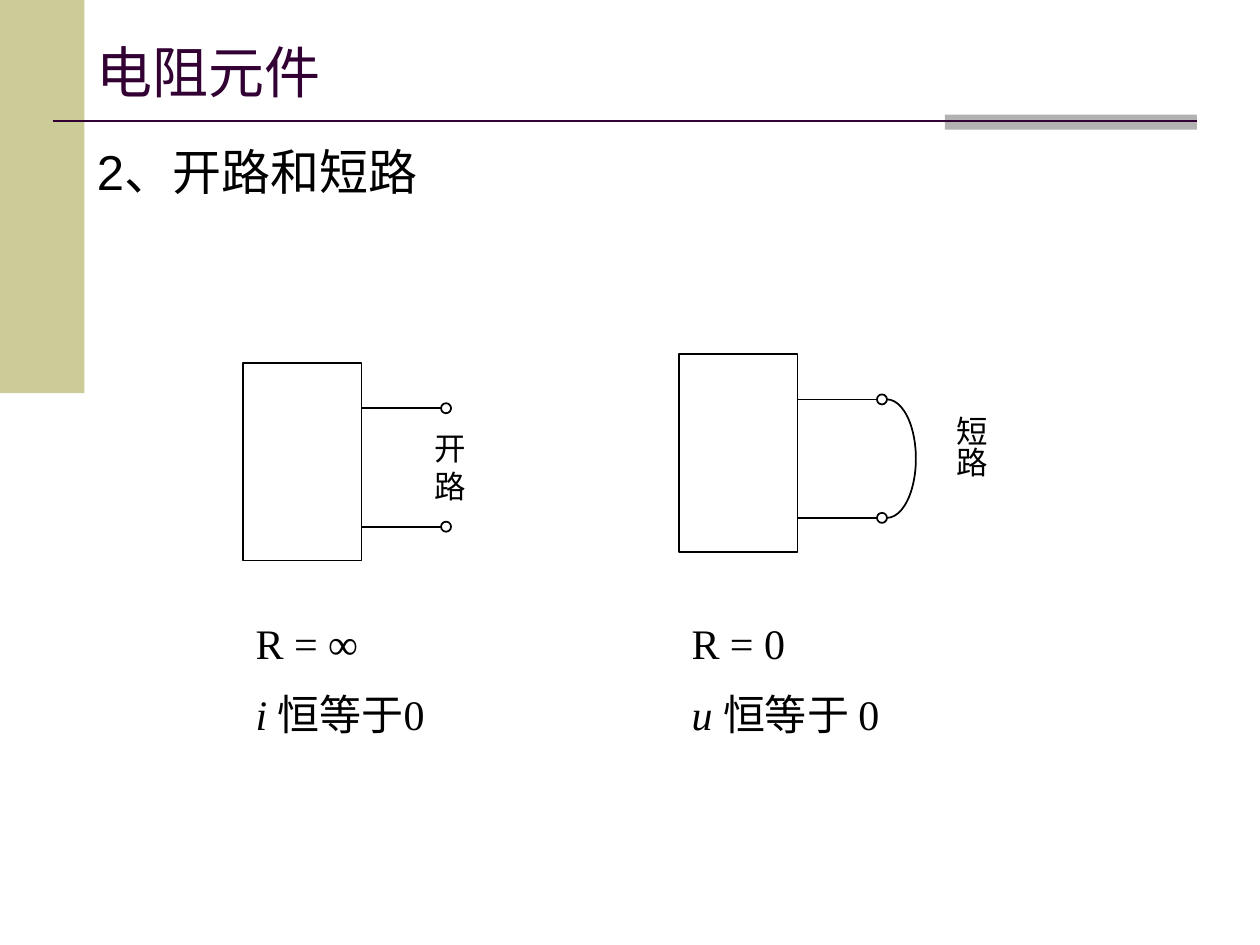
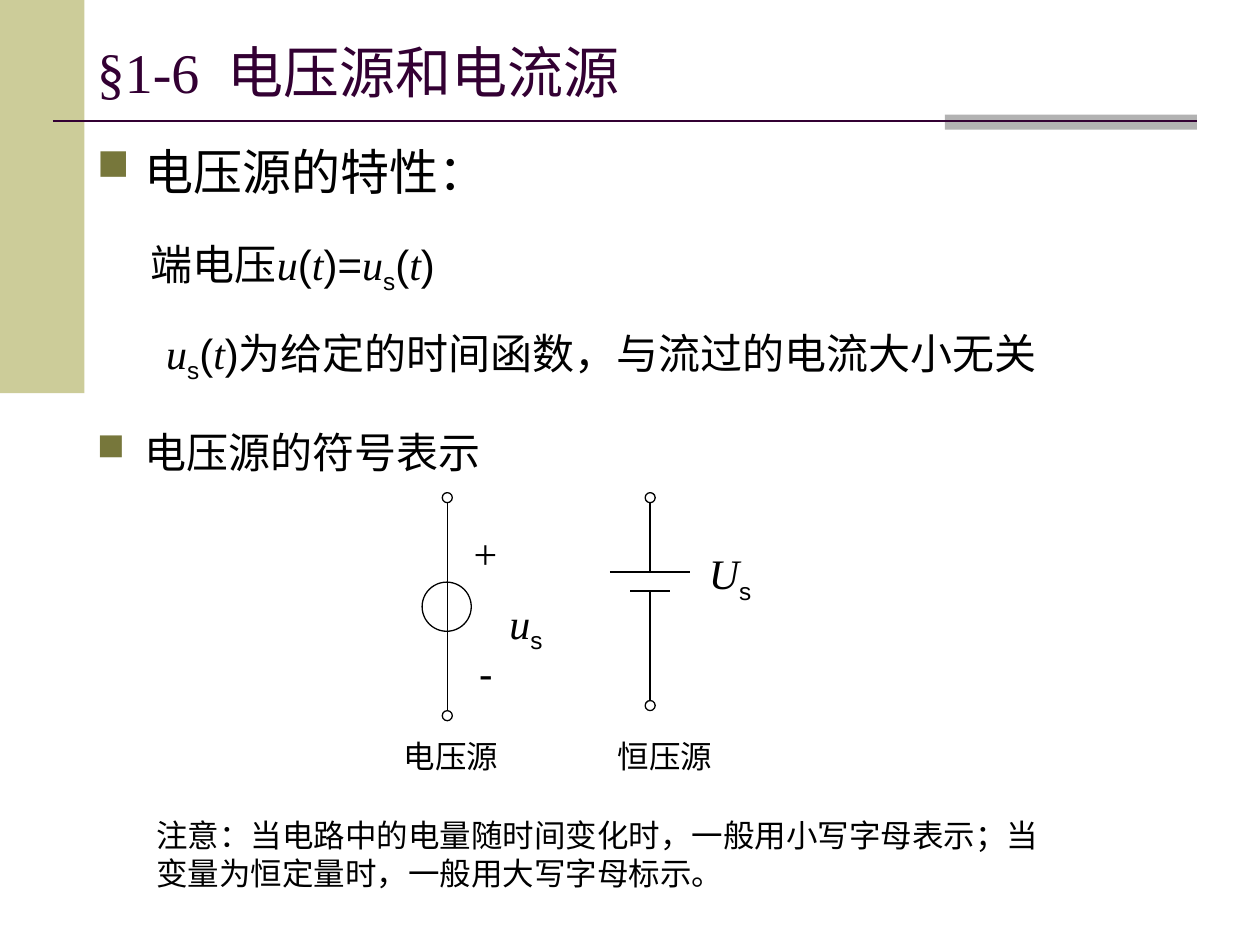
from pptx import Presentation
from pptx.dml.color import RGBColor
from pptx.enum.shapes import MSO_CONNECTOR, MSO_SHAPE
from pptx.enum.text import MSO_ANCHOR, PP_ALIGN
from pptx.oxml.ns import qn
from pptx.util import Inches, Pt
from lxml import etree

RECT, OVAL, ARC = MSO_SHAPE.RECTANGLE, MSO_SHAPE.OVAL, MSO_SHAPE.ARC
STRAIGHT = MSO_CONNECTOR.STRAIGHT
TOP, MIDDLE = MSO_ANCHOR.TOP, MSO_ANCHOR.MIDDLE
LEFT, CENTER = PP_ALIGN.LEFT, PP_ALIGN.CENTER

WIDTH, HEIGHT = 10, 7.5
COLORS = {"band": "CCCC99", "tab": "B2B2B2", "title": "330033",
          "bullet": "77773B", "ink": "000000"}
SANS, SERIF = "Arial", "Times New Roman"

# Span styles: plain text, serif text, variable, subscript, widened space
STYLES = {
    "plain": {"name": SANS},
    "serif": {"name": SERIF},
    "var": {"name": SERIF, "italic": True},
    "sub": {"name": SANS},
    "gap": {"name": SERIF},
}
# Run attributes that some styles add
RUN_ATTRIBUTES = {"sub": ("baseline", "-25000"), "gap": ("spc", "800")}

# ---- Content ----
TITLES = {
    "resistor": [("电阻元件", "serif")],
    "sources": [("§1-6", "serif"), (" ", "gap"), ("电压源和电流源", "serif")],
}
HANG = {"margin": 0.38, "indent": -0.38}
U_S = [("u", "var"), ("s", "sub")]
OF_T = [("(", "plain"), ("t", "var")]

RESISTOR_BODY = [{"spans": [("2、开路和短路", "plain")], "size": 28, **HANG}]
SOURCES_BODY = [
    {"spans": [("电压源的特性：", "plain")], "size": 28, "bullet": True, **HANG},
    {"spans": [("端电压", "plain"), ("u", "var"), *OF_T, (")=", "plain"),
               *U_S, *OF_T, (")", "plain")],
     "size": 24, "margin": 0.43, "before": 22},
    {"spans": [*U_S, *OF_T, (")为给定的时间函数，与流过的电流大小无关", "plain")],
     "size": 24, "margin": 0.55, "before": 18},
    {"spans": [("电压源的符号表示", "plain")], "size": 24, "bullet": True,
     "before": 24, **HANG},
]

# Each circuit: left and top of its box, width of its caption, caption lines
CIRCUITS = [
    {"corner": (1.93, 2.88), "caption_width": 1.57, "caption": [
        [("R = ∞", "serif")], [("i ", "var"), ("恒等于0", "serif")]]},
    {"corner": (5.39, 2.81), "caption_width": 1.97, "caption": [
        [("R = 0", "serif")], [("u ", "var"), ("恒等于 0", "serif")]]},
]
CAPTION_TOP = 4.85
BOX_SIZE = (0.94, 1.57)
LEAD_ROWS = (0.36, 1.3)
LEAD_LENGTH = 0.63
TERMINAL = 0.08

# Symbol labels: spans, size, place
SYMBOL_LABELS = [
    (U_S, 24, (3.82, 4.69, 0.71, 0.5)),
    ([("+", "serif")], 24, (3.66, 4.14, 0.31, 0.5)),
    ([("-", "plain")], 24, (3.58, 5.09, 0.55, 0.5)),
    ([("U", "var"), ("s", "sub")], 24, (5.32, 4.3, 0.95, 0.5)),
    ([("电压源", "plain")], 18, (2.95, 5.8, 1.26, 0.4)),
    ([("恒压源", "plain")], 18, (4.53, 5.8, 1.5, 0.4)),
]
NOTE = ("注意：当电路中的电量随时间变化时，一般用小写字母表示；"
        "当变量为恒定量时，一般用大写字母标示。")


# ---- Drawing helpers ----
def inches(values):
    return [Inches(value) for value in values]


def color(name):
    return RGBColor.from_string(COLORS[name])


def add_figure(page, kind, place, fill=None, weight=None):
    shape = page.shapes.add_shape(kind, *inches(place))
    shape.shadow.inherit = False
    if fill:
        shape.fill.solid()
        shape.fill.fore_color.rgb = color(fill)
    else:
        shape.fill.background()
    if weight:
        shape.line.color.rgb = color("ink")
        shape.line.width = Pt(weight)
    else:
        shape.line.fill.background()
    return shape


def add_line(page, start, end, weight, ink="ink"):
    line = page.shapes.add_connector(STRAIGHT, *inches((*start, *end)))
    line.line.color.rgb = color(ink)
    line.line.width = Pt(weight)
    etree.SubElement(line._element.spPr, qn("a:effectLst"))


def add_terminal(page, x, y, weight):
    """Open circle centred on a point."""
    half = TERMINAL / 2
    add_figure(page, OVAL, (x - half, y - half, TERMINAL, TERMINAL), weight=weight)


def add_bullet(properties):
    """Square bullet: the letter n of the symbol font."""
    tint = etree.SubElement(properties, qn("a:buClr"))
    etree.SubElement(tint, qn("a:srgbClr"), val=COLORS["bullet"])
    etree.SubElement(properties, qn("a:buSzPct"), val="90000")
    etree.SubElement(properties, qn("a:buFont"), typeface="Wingdings",
                     pitchFamily="2", charset="2")
    etree.SubElement(properties, qn("a:buChar"), char="n")


def add_text(page, place, paras, anchor=TOP, align=LEFT, ink="ink"):
    box = page.shapes.add_textbox(*inches(place))
    frame = box.text_frame
    frame.word_wrap = True
    frame.vertical_anchor = anchor
    for index, entry in enumerate(paras):
        para = frame.paragraphs[0] if index == 0 else frame.add_paragraph()
        para.alignment = align
        if "before" in entry:
            para.space_before = Pt(entry["before"])
        properties = para._p.get_or_add_pPr()
        for key, name in (("margin", "marL"), ("indent", "indent")):
            properties.set(name, str(Inches(entry.get(key, 0))))
        if entry.get("bullet"):
            add_bullet(properties)
        for text, style in entry["spans"]:
            span = para.add_run()
            span.text = text
            span.font.color.rgb = color(ink)
            for name, value in {"size": Pt(entry["size"]), **STYLES[style]}.items():
                setattr(span.font, name, value)
            if style in RUN_ATTRIBUTES:
                span._r.get_or_add_rPr().set(*RUN_ATTRIBUTES[style])
    return box


def add_page(deck, title, body):
    """Blank page with the shared bands, rule, title and body text."""
    page = deck.slides.add_slide(deck.slide_layouts[6])
    add_figure(page, RECT, (0, 0, 0.67, 3.12), fill="band")
    add_figure(page, RECT, (7.5, 0.91, 2, 0.12), fill="tab")
    add_line(page, (0.42, 0.96), (9.5, 0.96), 1.5, "title")
    add_text(page, (0.67, 0.3, 8.83, 0.53), [{"spans": title, "size": 32}],
             MIDDLE, ink="title")
    add_text(page, (0.67, 1.07, 8.83, 5.91), body)
    return page


# ---- Slide parts ----
def add_circuit(page, circuit):
    """Box with two leads that end in terminals, and its caption below."""
    left, top = circuit["corner"]
    right = left + BOX_SIZE[0]
    end = right + LEAD_LENGTH
    add_figure(page, RECT, (left, top, *BOX_SIZE), weight=1)
    for row in LEAD_ROWS:
        add_line(page, (right, top + row), (end, top + row), 1)
        add_terminal(page, end + TERMINAL / 2, top + row, 1)
    lines = [{"spans": spans, "size": 24} for spans in circuit["caption"]]
    lines[1]["before"] = 12
    add_text(page, (left, CAPTION_TOP, circuit["caption_width"], 1.1), lines)


def add_short(page, circuit):
    """Half ellipse that joins the two terminals of a circuit."""
    left, top = circuit["corner"]
    x = left + BOX_SIZE[0] + LEAD_LENGTH + TERMINAL
    reach = 0.23
    first, last = LEAD_ROWS
    arc = add_figure(page, ARC, (x - reach, top + first, 2 * reach, last - first), weight=1)
    # Angles clockwise from the right, 0.6 units to the degree: 270 to 90
    arc.adjustments[0] = 270 * 0.6
    arc.adjustments[1] = 90 * 0.6


def add_voltage_source(page, x):
    add_line(page, (x, 3.99), (x, 5.64), 0.75)
    add_figure(page, OVAL, (x - 0.2, 4.62, 0.39, 0.39), weight=0.75)
    for y in (3.95, 5.68):
        add_terminal(page, x, y, 0.75)


def add_battery(page, x):
    # Each plate: height, half width, end of its lead, centre of its terminal
    for y, half, lead, terminal in ((4.54, 0.32, 3.99, 3.95), (4.69, 0.16, 5.56, 5.6)):
        add_line(page, (x - half, y), (x + half, y), 0.75)
        add_line(page, (x, y), (x, lead), 0.75)
        add_terminal(page, x, terminal, 0.75)


def main():
    deck = Presentation()
    deck.slide_width, deck.slide_height = inches((WIDTH, HEIGHT))

    # Open and short circuit
    page = add_page(deck, TITLES["resistor"], RESISTOR_BODY)
    for circuit in CIRCUITS:
        add_circuit(page, circuit)
    add_short(page, CIRCUITS[1])
    add_text(page, (3.35, 3.36, 0.63, 0.7), [{"spans": [("开路", "plain")], "size": 18}])
    label = add_text(page, (7.2, 3.2, 0.71, 0.87),
                     [{"spans": [("短路", "plain")], "size": 18}])
    label.text_frame.word_wrap = False
    label.text_frame._txBody.bodyPr.set("vert", "eaVert")

    # Voltage sources
    page = add_page(deck, TITLES["sources"], SOURCES_BODY)
    add_voltage_source(page, 3.55)
    add_battery(page, 5.16)
    for spans, size, place in SYMBOL_LABELS:
        add_text(page, place, [{"spans": spans, "size": size}], align=CENTER)
    add_text(page, (1.14, 6.43, 7.25, 0.7), [{"spans": [(NOTE, "plain")], "size": 18}])

    deck.save("out.pptx")


if __name__ == "__main__":
    main()
